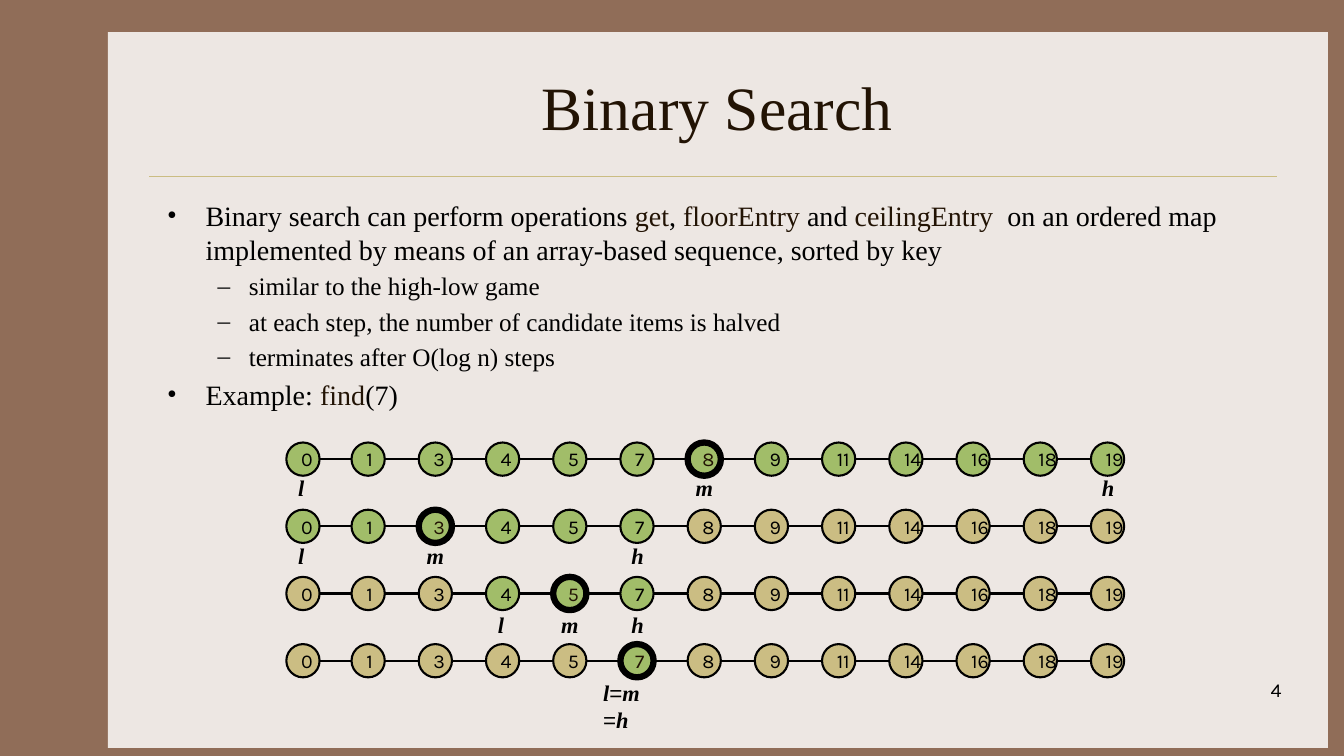
from lxml import etree
from pptx import Presentation
from pptx import util as u
from pptx.dml.color import RGBColor
from pptx.enum import shapes, text
from pptx.oxml.ns import qn

COLORS = {"frame": "906D58", "panel": "EDE7E3", "gold": "CBBD83",
          "green": "A1BD69", "brown": "221304", "black": "000000"}
SERIF, SANS = "Times New Roman", "Karla"

KEYS = [0, 1, 3, 4, 5, 7, 8, 9, 11, 14, 16, 18, 19]
STEPS = [(0, 6, 12), (0, 2, 5), (3, 4, 5), (5, 5, 5)]  # low, mid, high columns
NODE = 0.33
PITCH = 2 / 3
LABELS = {"l": (0.02, 0.26), "m": (-0.02, 0.38), "h": (0.01, 0.32)}  # offset, width

# (level, [(wording, colour)])
BULLETS = [
    (0, [("Binary search can perform operations ", "black"), ("get", "brown"),
         (", ", "black"), ("floorEntry", "brown"), (" and ", "black"),
         ("ceilingEntry", "brown"),
         ("  on an ordered map implemented by means of an array-based "
          "sequence, sorted by key", "black")]),
    (1, [("similar to the high-low game", "black")]),
    (1, [("at each step, the number of candidate items is halved", "black")]),
    (1, [("terminates after O(log n) steps", "black")]),
    (0, [("Example: ", "black"), ("find", "brown"), ("(7)", "black")]),
]
# mark, text size, left margin and hanging indent in inches
LEVELS = [("•", 20, 0.38, 0.38), ("–", 18, 0.81, 0.31)]


def rgb(name):
    return RGBColor.from_string(COLORS[name])


def add_run(p, wording, size, font, color="black", strong=False):
    """Add a run; strong means bold italic."""
    r = p.add_run()
    r.text = wording
    r.font.size, r.font.name = u.Pt(size), font
    r.font.color.rgb = rgb(color)
    r.font.bold = r.font.italic = strong


def add_textbox(s, left, top, width, height, wrap=True):
    sp = s.shapes.add_textbox(*map(u.Inches, (left, top, width, height)))
    sp.text_frame.word_wrap = wrap
    return sp.text_frame


def add_shape(s, kind, left, top, width, height, fill):
    sp = s.shapes.add_shape(kind, *map(u.Inches, (left, top, width, height)))
    sp.shadow.inherit = False
    sp.fill.solid()
    sp.fill.fore_color.rgb = rgb(fill)
    return sp


def add_rule(s, x1, x2, y, color, width):
    """Add a horizontal line."""
    cn = s.shapes.add_connector(shapes.MSO_CONNECTOR.STRAIGHT,
                                *map(u.Inches, (x1, y, x2, y)))
    cn.line.color.rgb = rgb(color)
    cn.line.width = u.Pt(width)
    etree.SubElement(cn._element.spPr, qn("a:effectLst"))


def add_bullets(s):
    tf = add_textbox(s, 1.56, 1.92, 11.11, 4.5)
    for i, (level, runs) in enumerate(BULLETS):
        p = tf.paragraphs[0] if i == 0 else tf.add_paragraph()
        mark, size, margin, hang = LEVELS[level]
        p.level = level
        p.space_before = u.Pt(size * 0.2)
        pPr = p._p.get_or_add_pPr()
        pPr.set("marL", str(u.Inches(margin)))
        pPr.set("indent", str(-u.Inches(hang)))
        etree.SubElement(pPr, qn("a:buFont"), typeface=SERIF)
        etree.SubElement(pPr, qn("a:buChar"), char=mark)
        for wording, color in runs:
            add_run(p, wording, size, SERIF, color)


def column_left(col):
    return 2.84 if col == 0 else 2.82 + col * PITCH


def add_node(s, key, left, top, active, middle):
    sp = add_shape(s, shapes.MSO_SHAPE.OVAL, left, top, NODE, NODE,
                   "green" if active else "gold")
    sp.line.color.rgb = rgb("black")
    sp.line.width = u.Pt(4.5 if middle else 1.5)
    tf = sp.text_frame
    tf.word_wrap = False
    tf.vertical_anchor = text.MSO_ANCHOR.MIDDLE
    p = tf.paragraphs[0]
    p.alignment = text.PP_ALIGN.LEFT
    add_run(p, str(key), 14, SANS, "brown" if middle else "black")


def add_label(s, letter, col, top):
    offset, width = LABELS[letter]
    tf = add_textbox(s, column_left(col) + offset, top, width, 0.37, wrap=False)
    tf.auto_size = text.MSO_AUTO_SIZE.SHAPE_TO_FIT_TEXT
    add_run(tf.paragraphs[0], letter, 16, SERIF, strong=True)


def add_found_label(s, col, top):
    """Add the label of the step where all three markers meet."""
    tf = add_textbox(s, column_left(col) - 0.27, top, 0.86, 0.37)
    tf.margin_right = u.Inches(0.3)
    for wording in ("l", "=", "m ", "=", "h"):
        equals = wording == "="
        add_run(tf.paragraphs[0], wording, 16, "Arial" if equals else SERIF,
                strong=not equals)


def add_step(s, row, low, mid, high):
    top = 4.39 + row * PITCH
    add_rule(s, 3.01, 10.82, top + NODE / 2, "black", 1.5)
    for col, key in enumerate(KEYS):
        add_node(s, key, column_left(col), top, low <= col <= high, col == mid)
    label_top = 4.65 + row * 0.68
    if low == high:
        add_found_label(s, mid, label_top)
    else:
        for letter, col in zip("lmh", (low, mid, high)):
            add_label(s, letter, col, label_top)


def main():
    prs = Presentation()
    prs.slide_width, prs.slide_height = u.Inches(13.33), u.Inches(7.5)
    s = prs.slides.add_slide(prs.slide_layouts[6])
    s.background.fill.solid()
    s.background.fill.fore_color.rgb = rgb("frame")

    panel = add_shape(s, shapes.MSO_SHAPE.RECTANGLE, 1.07, 0.32, 12.1, 7.1, "panel")
    panel.line.fill.background()
    add_rule(s, 1.48, 12.67, 1.75, "gold", 0.25)

    tf = add_textbox(s, 1.56, 0.42, 11.11, 1.25)
    tf.vertical_anchor = text.MSO_ANCHOR.MIDDLE
    tf.paragraphs[0].alignment = text.PP_ALIGN.CENTER
    add_run(tf.paragraphs[0], "Binary Search", 44, SERIF, "brown")

    add_bullets(s)

    tf = add_textbox(s, 10.03, 6.68, 2.78, 0.5)
    tf.paragraphs[0].alignment = text.PP_ALIGN.RIGHT
    add_run(tf.paragraphs[0], "4", 14, SANS)

    for row, step in enumerate(STEPS):
        add_step(s, row, *step)
    prs.save("out.pptx")


if __name__ == "__main__":
    main()
